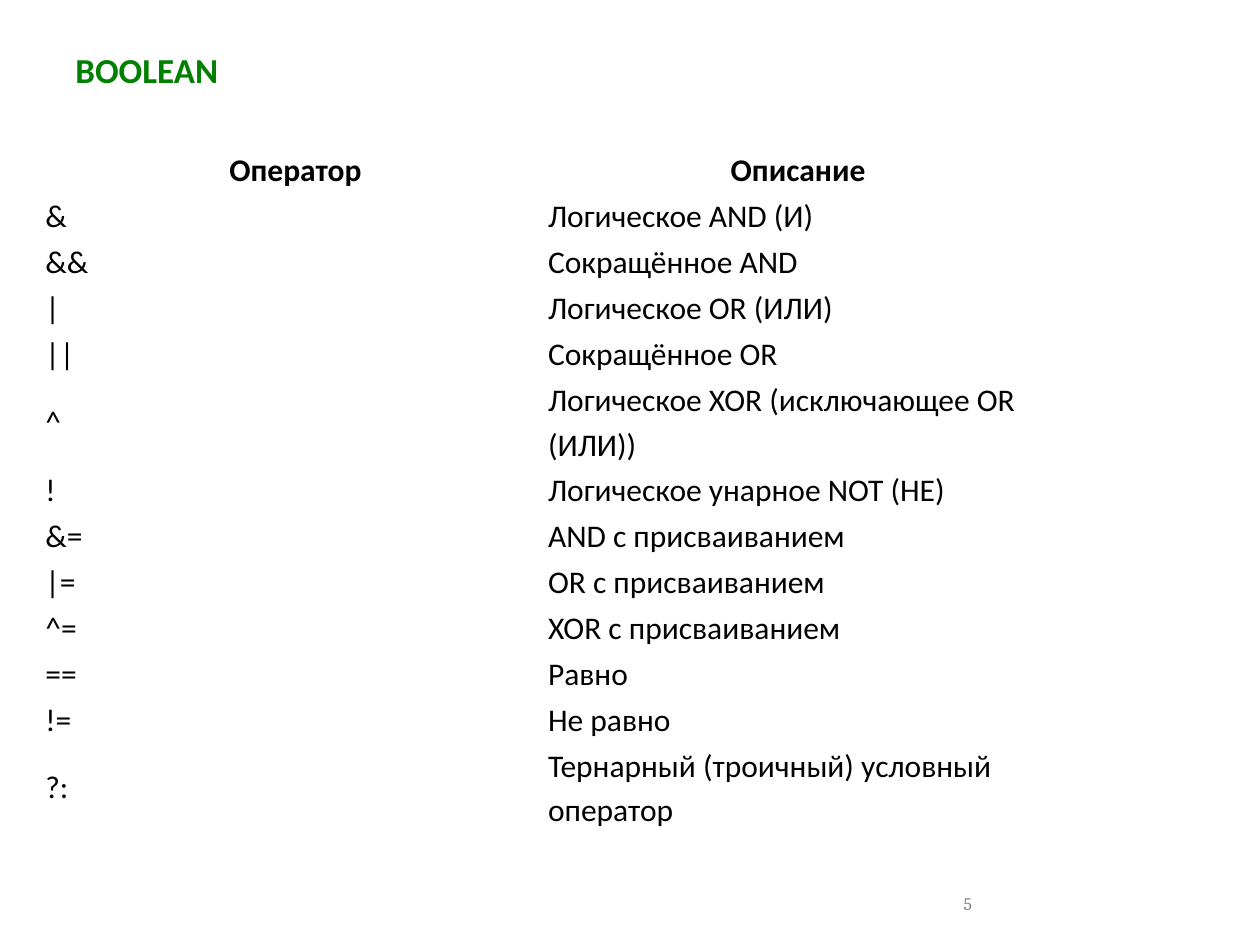
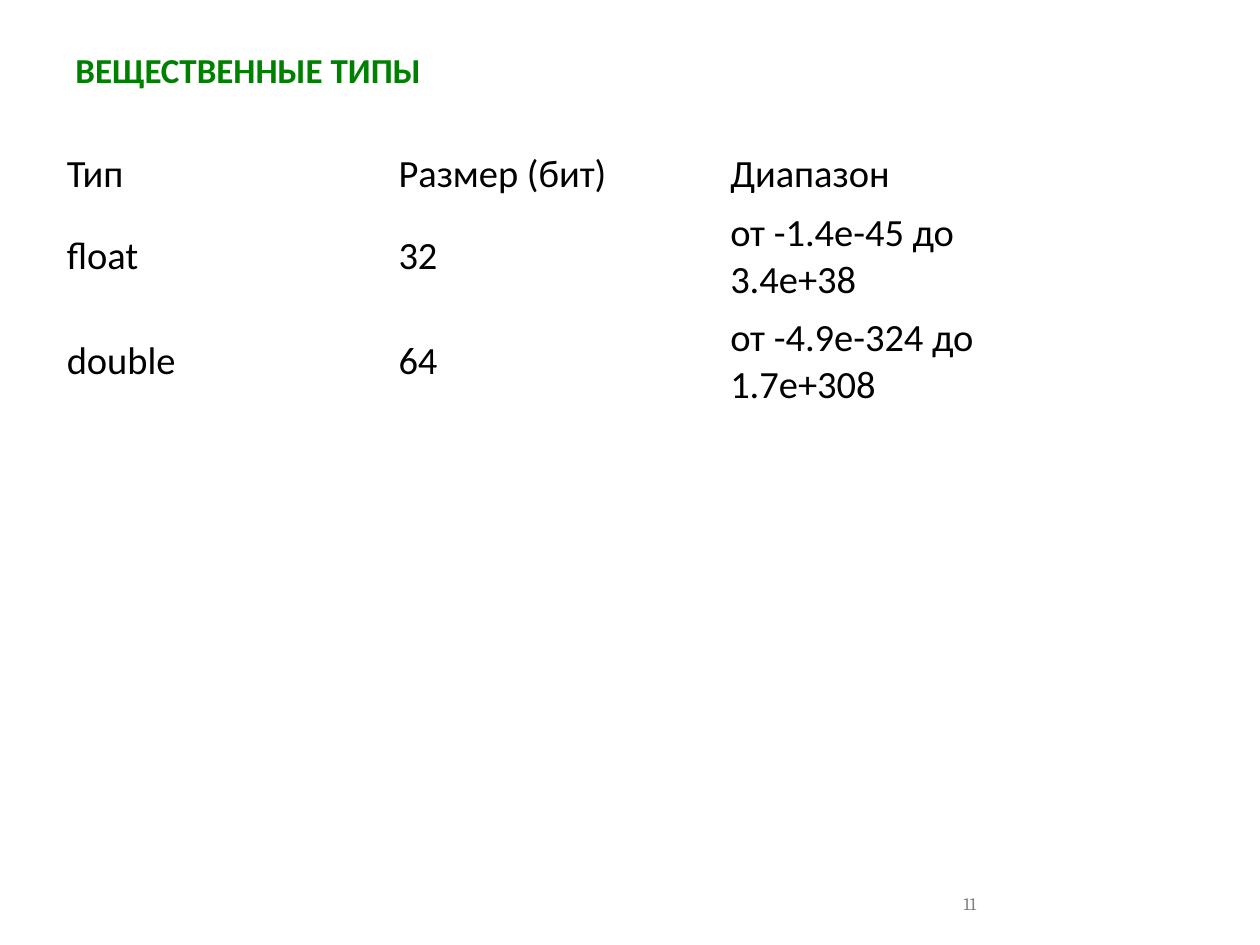
from pptx import Presentation
from pptx.dml.color import RGBColor
from pptx.enum.text import MSO_ANCHOR, PP_ALIGN
from pptx.util import Inches, Pt

MIDDLE = MSO_ANCHOR.MIDDLE
LEFT, CENTER = PP_ALIGN.LEFT, PP_ALIGN.CENTER

# Content
OPERATORS = [
    ("Оператор", "Описание"),
    ("&", "Логическое AND (И)"),
    ("&&", "Сокращённое AND"),
    ("|", "Логическое OR (ИЛИ)"),
    ("||", "Сокращённое OR"),
    ("^", "Логическое XOR (исключающее OR (ИЛИ))"),
    ("!", "Логическое унарное NOT (НЕ)"),
    ("&=", "AND с присваиванием"),
    ("|=", "OR с присваиванием"),
    ("^=", "XOR с присваиванием"),
    ("==", "Равно"),
    ("!=", "Не равно"),
    ("?:", "Тернарный (троичный) условный оператор"),
]
REAL_TYPES = [
    ("Тип", "Размер (бит)", "Диапазон"),
    ("float", "32", "от -1.4e-45 до 3.4e+38"),
    ("double", "64", "от -4.9e-324 до 1.7е+308"),
]
SLIDES = [
    dict(title="BOOLEAN", number="5", rows=OPERATORS,
         left=0.35, width=7.98, heights=[0.33] * len(OPERATORS),
         size=18, spacing=1.15, insets=(0.01, 0.01), strong_header=True),
    dict(title="ВЕЩЕСТВЕННЫЕ ТИПЫ", number="11", rows=REAL_TYPES,
         left=0.43, width=7.9, heights=[0.38, 0.67, 0.67],
         size=22, spacing=1.0, insets=(0.1, 0.05), strong_header=False),
]

# Shared look
COLORS = {"title": "008000", "text": "000000", "number": "808080"}
BODY_FONT, NUMBER_FONT = "Calibri", "Cambria"
TITLE_BOX = (0.5, 0.38, 8.12, 0.38)
NUMBER_BOX = (7.55, 6.97, 2.33, 0.4)
TABLE_TOP = 1.15


def style(paragraph, size, color, font=BODY_FONT, bold=False, spacing=1.0, align=LEFT):
    paragraph.font.size = Pt(size)
    paragraph.font.name = font
    paragraph.font.bold = bold
    paragraph.font.color.rgb = RGBColor.from_string(COLORS[color])
    paragraph.line_spacing = spacing
    paragraph.alignment = align


def add_label(slide, box, text, *args, **kwargs):
    frame = slide.shapes.add_textbox(*map(Inches, box)).text_frame
    frame.word_wrap = True
    frame.vertical_anchor = MIDDLE
    frame.text = text
    style(frame.paragraphs[0], *args, **kwargs)


def add_plain_table(slide, content):
    rows, heights = content["rows"], content["heights"]
    columns = len(rows[0])
    table = slide.shapes.add_table(
        len(rows), columns, Inches(content["left"]), Inches(TABLE_TOP),
        Inches(content["width"]), Inches(sum(heights))).table
    table.first_row = table.horz_banding = False
    for column in table.columns:
        column.width = Inches(content["width"] / columns)
    side, edge = map(Inches, content["insets"])
    for r, (row, height) in enumerate(zip(rows, heights)):
        table.rows[r].height = Inches(height)
        strong = content["strong_header"] and r == 0
        for c, text in enumerate(row):
            cell = table.cell(r, c)
            cell.fill.background()
            cell.vertical_anchor = MIDDLE
            cell.margin_left = cell.margin_right = side
            cell.margin_top = cell.margin_bottom = edge
            cell.text = text
            style(cell.text_frame.paragraphs[0], content["size"], "text", bold=strong,
                  spacing=content["spacing"], align=CENTER if strong else LEFT)


def main():
    deck = Presentation()
    deck.slide_width, deck.slide_height = Inches(10), Inches(7.5)
    for content in SLIDES:
        slide = deck.slides.add_slide(deck.slide_layouts[6])
        add_label(slide, TITLE_BOX, content["title"], 20, "title", bold=True, spacing=0.9)
        add_label(slide, NUMBER_BOX, content["number"], 10, "number", font=NUMBER_FONT)
        add_plain_table(slide, content)
    deck.save("out.pptx")


if __name__ == "__main__":
    main()
